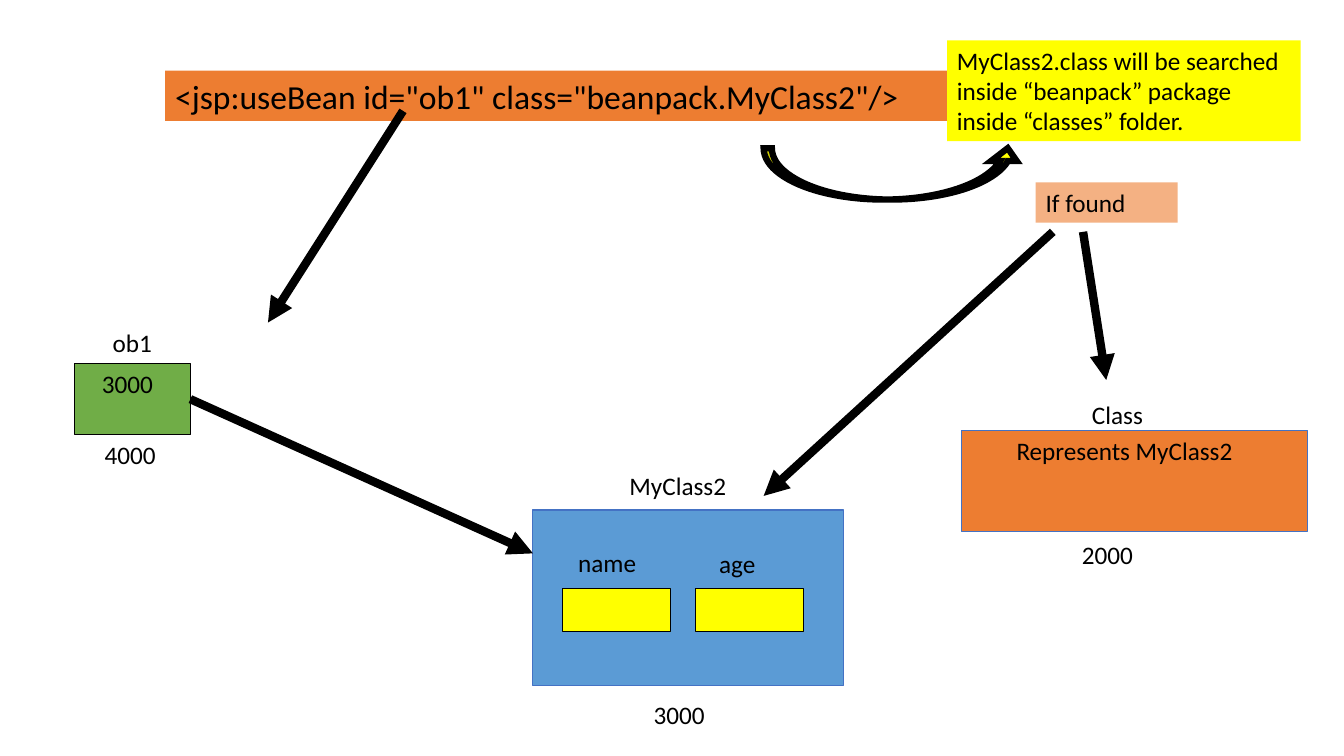
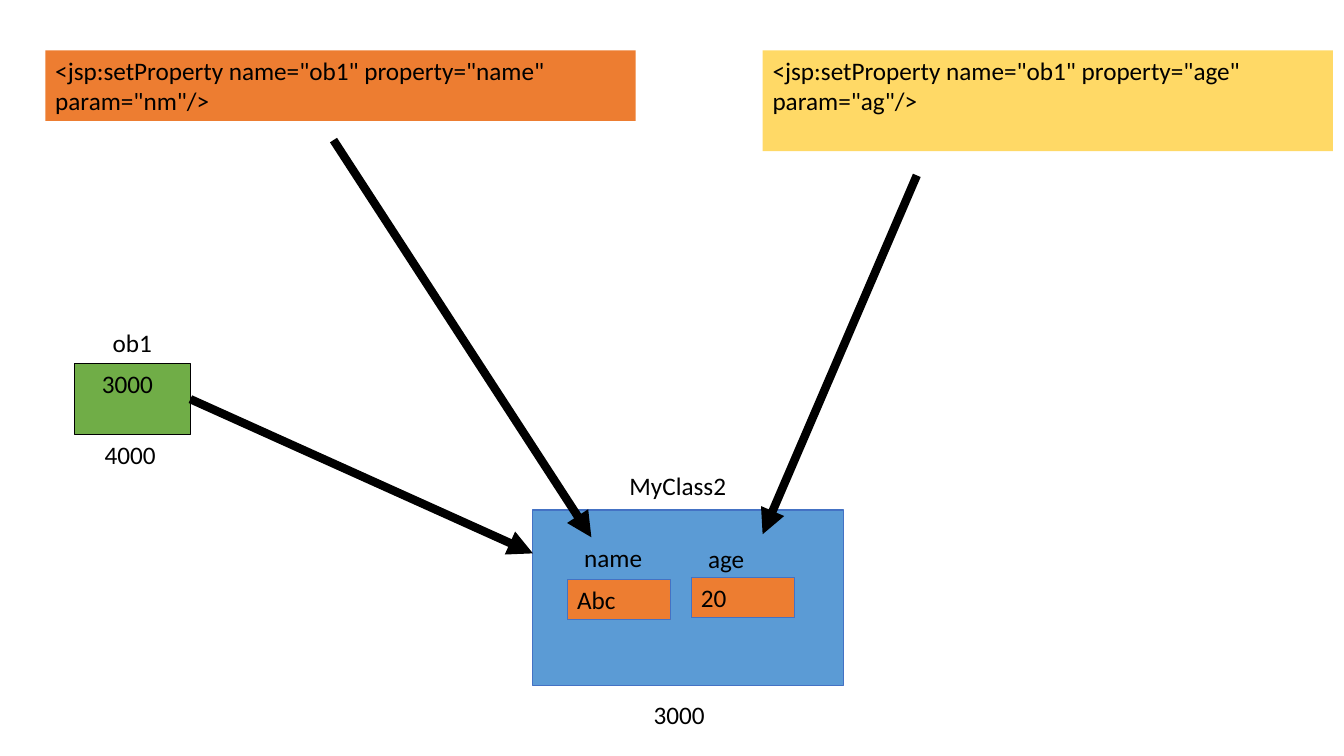
from dataclasses import dataclass

from lxml.etree import SubElement
from pptx import Presentation
from pptx.dml.color import RGBColor as RGB
from pptx.enum.shapes import MSO_CONNECTOR as CONN, MSO_SHAPE as SHAPE
from pptx.enum.text import MSO_ANCHOR as ANCHOR, PP_ALIGN as ALIGN
from pptx.oxml.ns import qn
from pptx.util import Inches, Pt


@dataclass(frozen=True)
class Theme:
    """Colours, font and sizes shared by the slides."""
    font: str = "Calibri"
    body: int = 18
    large: int = 24
    thin: float = 0.75
    curve: float = 4.5
    arrow: float = 6
    label_h: float = 0.4
    black: str = "000000"
    edge: str = "4472C4"
    orange: str = "ED7D31"
    peach: str = "F4B183"
    yellow: str = "FFFF00"
    gold: str = "FFD966"
    green: str = "70AD47"
    blue: str = "5B9BD5"


T = Theme()


def write(sp, text, size=T.body, indent=0, color=T.black):
    """Write left-aligned text at the top of a shape."""
    tf = sp.text_frame
    tf.word_wrap = True
    tf.vertical_anchor = ANCHOR.TOP
    tf.margin_left = Inches(0.1 + indent)
    p = tf.paragraphs[0]
    p.alignment = ALIGN.LEFT
    r = p.add_run()
    r.text = text
    r.font.name = T.font
    r.font.size = Pt(size)
    r.font.color.rgb = RGB.from_string(color)


def label(s, x, y, w, text, **fmt):
    """Add a one-line text box."""
    box = s.shapes.add_textbox(Inches(x), Inches(y), Inches(w), Inches(T.label_h))
    write(box, text, **fmt)


def block(s, x, y, w, h, fill, line=None, text="", kind=SHAPE.RECTANGLE, weight=T.thin, **fmt):
    """Add a filled shape with an optional outline and text."""
    sp = s.shapes.add_shape(kind, Inches(x), Inches(y), Inches(w), Inches(h))
    sp.shadow.inherit = False
    sp.fill.solid()
    sp.fill.fore_color.rgb = RGB.from_string(fill)
    if line:
        sp.line.color.rgb = RGB.from_string(line)
        sp.line.width = Pt(weight)
    else:
        sp.line.fill.background()
    if text:
        write(sp, text, **fmt)
    return sp


def arrow(s, x1, y1, x2, y2):
    """Add a heavy arrow pointing at the second point."""
    c = s.shapes.add_connector(CONN.STRAIGHT, *map(Inches, (x1, y1, x2, y2)))
    c.line.color.rgb = RGB.from_string(T.black)
    c.line.width = Pt(T.arrow)
    SubElement(c.line._get_or_add_ln(), qn("a:tailEnd"), type="triangle")
    SubElement(c._element.spPr, qn("a:effectLst"))


def curved_arrow(s, x, y, w, h):
    """Add the curved arrow that leads to the search note."""
    sp = block(s, x, y, w, h, T.yellow, T.black, kind=SHAPE.CURVED_UP_ARROW, weight=T.curve)
    for i, value in enumerate((0.16, 0.5, 0.25)):
        sp.adjustments[i] = value
    SubElement(sp.line._get_or_add_ln(), qn("a:miter"), lim="800000")


def reference(s, x, y):
    """Draw the variable ob1, its address and its link to the object."""
    w, h = 1.15, 0.7
    block(s, x, y, w, h, T.green, T.black, "3000", indent=0.17)
    label(s, x + 0.28, y - 0.41, 0.59, "ob1")
    label(s, x + 0.2, y + h, 0.95, "4000")
    arrow(s, x + w, y + h / 2, x + 4.55, y + 1.88)


def instance(s, x, y):
    """Draw the MyClass2 object with its name and address."""
    w, h = 3.08, 1.74
    block(s, x, y, w, h, T.blue, T.edge)
    label(s, x + 0.86, y - 0.44, 1.43, "MyClass2")
    label(s, x + 1.1, y + h + 0.09, 0.95, "3000")


def class_object(s, x, y):
    """Draw the Class object with its name and address."""
    w, h = 3.44, 1
    block(s, x, y, w, h, T.orange, T.edge, "Represents MyClass2", indent=0.45)
    label(s, x + 1.2, y - 0.36, 0.83, "Class")
    label(s, x + 1.1, y + h + 0.03, 0.95, "2000")


def field(s, x, y, w, h, name, fill, line, name_dx, name_dy, value=""):
    """Draw one field of the object with its name above."""
    block(s, x, y, w, h, fill, line, value)
    label(s, x + name_dx, y - name_dy, 0.86, name)


def memory(s):
    """Draw the reference and object found on both slides."""
    instance(s, 5.29, 5.06)
    reference(s, 0.74, 3.61)


def use_bean_slide(s):
    """Show how useBean finds the class and creates the object."""
    block(s, 1.64, 0.7, 7.76, 0.5, T.orange,
          text='<jsp:useBean id="ob1" class="beanpack.MyClass2"/>', size=T.large)
    block(s, 9.4, 0.4, 3.51, 1, T.yellow,
          text="MyClass2.class will be searched inside “beanpack” package inside “classes” folder.")
    block(s, 10.28, 1.81, 1.41, 0.4, T.peach, text="If found")
    curved_arrow(s, 7.58, 1.47, 2.55, 0.51)
    class_object(s, 9.54, 4.27)
    memory(s)
    for x, name, dx, dy in ((5.58, "name", 0.06, 0.46), (6.9, "age", 0.14, 0.45)):
        field(s, x, 5.84, 1.08, 0.43, name, T.yellow, T.black, dx, dy)
    for ends in ((10.75, 2.3, 10.98, 3.77), (10.45, 2.3, 7.58, 4.92), (4, 1.1, 2.66, 3.2)):
        arrow(s, *ends)


def set_property_slide(s):
    """Show how setProperty fills the fields of the object."""
    memory(s)
    block(s, 0.45, 0.5, 5.86, 0.7, T.orange,
          text='<jsp:setProperty name="ob1" property="name" param="nm"/>')
    block(s, 7.57, 0.5, 5.66, 1, T.gold,
          text='<jsp:setProperty name="ob1" property="age" param="ag"/>')
    for x, y, name, value, dx, dy in ((5.63, 5.75, "name", "Abc", 0.07, 0.42),
                                      (6.86, 5.73, "age", "20", 0.07, 0.39)):
        field(s, x, y, 1.03, 0.4, name, T.orange, T.edge, dx, dy, value)
    for ends in ((3.31, 1.39, 5.87, 5.33), (9.1, 1.74, 7.57, 5.3)):
        arrow(s, *ends)


def main():
    """Build and save the presentation."""
    prs = Presentation()
    prs.slide_width, prs.slide_height = Inches(13.34), Inches(7.5)
    for build in (use_bean_slide, set_property_slide):
        build(prs.slides.add_slide(prs.slide_layouts[6]))
    prs.save("out.pptx")


if __name__ == "__main__":
    main()
